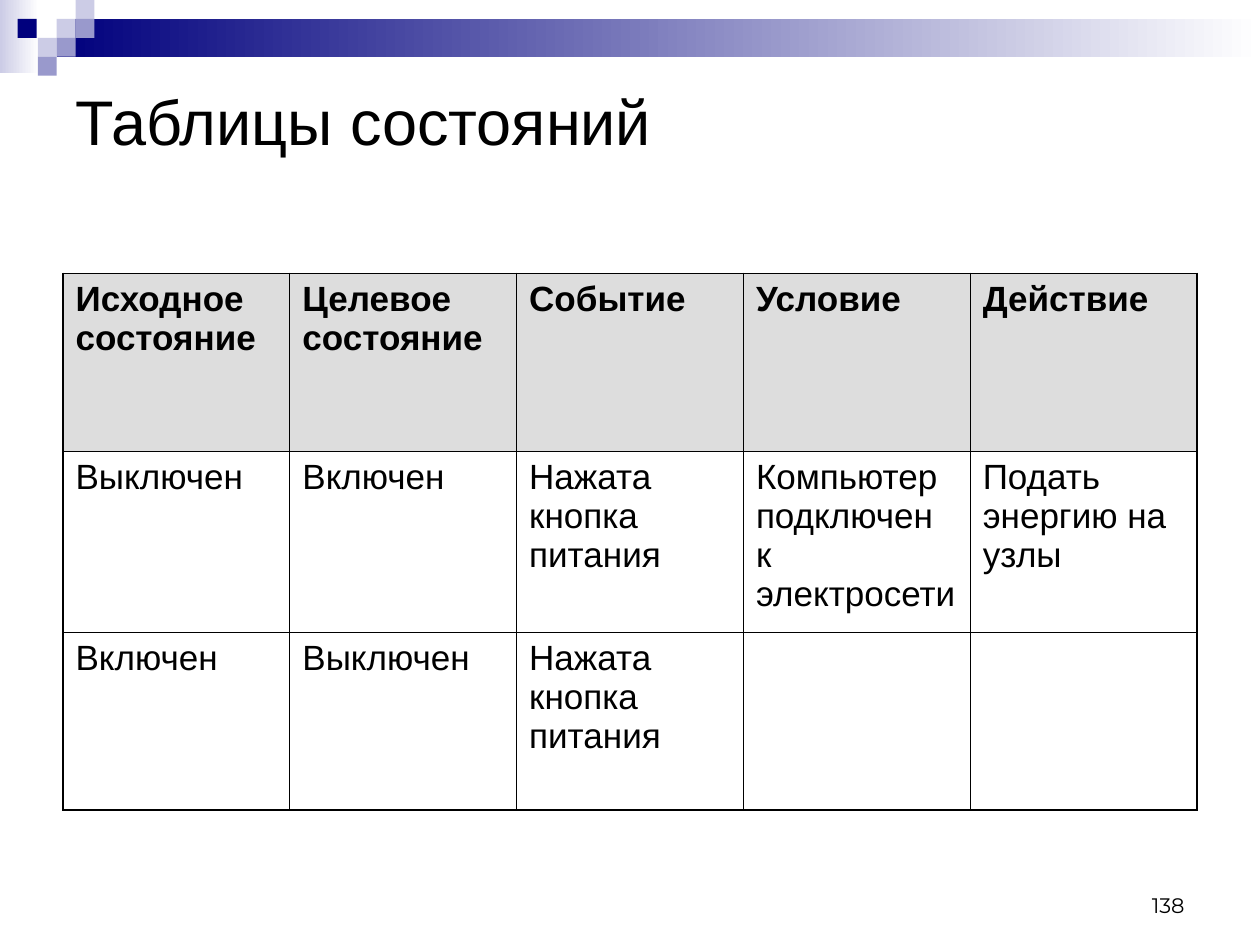
from lxml import etree
from pptx import Presentation
from pptx.dml.color import RGBColor
from pptx.enum.shapes import MSO_SHAPE as Shape
from pptx.enum.text import MSO_ANCHOR as Anchor, PP_ALIGN as Align
from pptx.oxml.ns import qn
from pptx.util import Inches, Pt

TITLE = "Таблицы состояний"
PAGE_NUMBER = "138"
ROWS = [
    ("Исходное состояние", "Целевое состояние", "Событие", "Условие", "Действие"),
    ("Выключен", "Включен", "Нажата кнопка питания",
     "Компьютер подключен к электросети", "Подать энергию на узлы"),
    ("Включен", "Выключен", "Нажата кнопка питания", "", ""),
]
ROW_HEIGHTS = [1.41, 1.44, 1.41]
COLUMN_WIDTH = 1.8
THIN, THICK = 0.45, 1.08

BLACK, NAVY, LILAC, PALE, WHITE = "000000", "00007D", "9999CC", "CCCCE6", "FFFFFF"
HEADER_GREY = "DDDDDD"
# left, top, width, height, colours from left to right
FADING_BARS = [
    (0, 0, 0.31, 0.58, (PALE, WHITE)),
    (0.45, 0.15, 9.55, 0.3, (NAVY, WHITE)),
]
SQUARE = 0.15
SQUARES = [
    (0.45, 0.15, PALE), (0.6, 0, PALE), (0.6, 0.15, LILAC), (0.3, 0.3, PALE),
    (0.14, 0.15, NAVY), (0.45, 0.3, LILAC), (0.3, 0.45, LILAC),
]


def color(value):
    return RGBColor.from_string(value)


def add_block(slide, left, top, width, height, colors):
    """Add a borderless rectangle, solid for one colour and fading for two."""
    block = slide.shapes.add_shape(
        Shape.RECTANGLE, Inches(left), Inches(top), Inches(width), Inches(height))
    block.shadow.inherit = False
    block.line.fill.background()
    if len(colors) == 1:
        block.fill.solid()
        block.fill.fore_color.rgb = color(colors[0])
        return
    block.fill.gradient()
    block.fill.gradient_angle = 0
    for stop, value in zip(block.fill.gradient_stops, colors):
        stop.color.rgb = color(value)


def write(frame, text, size, font="Arial", bold=False, align=Align.LEFT):
    paragraph = frame.paragraphs[0]
    paragraph.alignment = align
    run = paragraph.add_run()
    run.text = text
    for name, value in {"size": Pt(size), "name": font, "bold": bold}.items():
        setattr(run.font, name, value)
    run.font.color.rgb = color(BLACK)


def set_borders(cell, widths):
    """Draw cell borders; widths are points for left, right, top, bottom."""
    properties = cell._tc.get_or_add_tcPr()
    for index, (side, width) in enumerate(zip("LRTB", widths)):
        line = etree.Element(qn(f"a:ln{side}"), w=str(Pt(width)))
        fill = etree.SubElement(line, qn("a:solidFill"))
        etree.SubElement(fill, qn("a:srgbClr"), val=BLACK)
        properties.insert(index, line)


def add_state_table(slide):
    last_row, last_column = len(ROWS) - 1, len(ROWS[0]) - 1
    table = slide.shapes.add_table(
        len(ROWS), len(ROWS[0]), Inches(0.5), Inches(2.17),
        Inches(COLUMN_WIDTH * len(ROWS[0])), Inches(sum(ROW_HEIGHTS))).table
    table.horz_banding = False
    for column in table.columns:
        column.width = Inches(COLUMN_WIDTH)
    for i, texts in enumerate(ROWS):
        table.rows[i].height = Inches(ROW_HEIGHTS[i])
        for j, text in enumerate(texts):
            cell = table.cell(i, j)
            if i == 0:
                cell.fill.solid()
                cell.fill.fore_color.rgb = color(HEADER_GREY)
            else:
                cell.fill.background()
            if text:
                write(cell.text_frame, text, 20, bold=i == 0)
            outer = (j == 0, j == last_column, i == 0, i == last_row)
            set_borders(cell, [THICK if edge else THIN for edge in outer])


def main():
    presentation = Presentation()
    presentation.slide_width, presentation.slide_height = Inches(10), Inches(7.5)
    slide = presentation.slides.add_slide(presentation.slide_layouts[5])

    for *box, colors in FADING_BARS:
        add_block(slide, *box, colors)
    for left, top, value in SQUARES:
        add_block(slide, left, top, SQUARE, SQUARE, (value,))

    title = slide.shapes.title
    box = {"left": 0.5, "top": 0.52, "width": 9, "height": 0.87}
    for name, value in box.items():
        setattr(title, name, Inches(value))
    title.text_frame.vertical_anchor = Anchor.MIDDLE
    write(title.text_frame, TITLE, 36)

    add_state_table(slide)

    number = slide.shapes.add_textbox(
        Inches(7.17), Inches(6.83), Inches(2.33), Inches(0.5)).text_frame
    number.word_wrap = True
    number.vertical_anchor = Anchor.BOTTOM
    write(number, PAGE_NUMBER, 12, font="Montserrat", align=Align.RIGHT)

    presentation.save("out.pptx")


if __name__ == "__main__":
    main()
